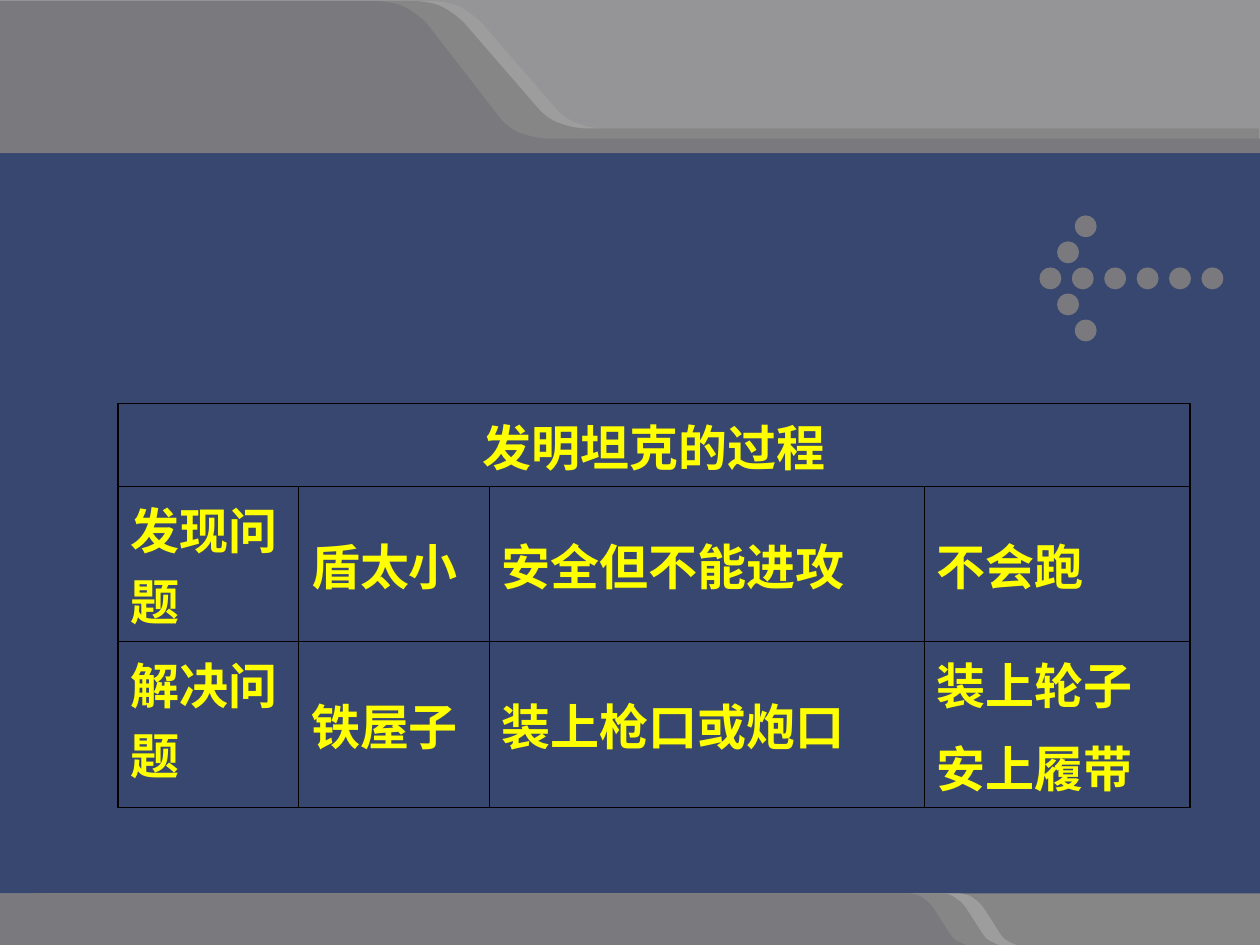
from lxml.etree import SubElement
from pptx import Presentation
from pptx.dml.color import RGBColor
from pptx.enum.shapes import MSO_SHAPE
from pptx.enum.text import MSO_ANCHOR, PP_ALIGN
from pptx.oxml.ns import qn
from pptx.util import Pt

WIDTH, HEIGHT = 720, 540
NAVY, DARK, MIDDLE, LIGHT, PALE = "38476F", "79797E", "868686", "9D9D9D", "959597"
YELLOW, BLACK = "FFFF00", "000000"
THICK, THIN = 1.08, 0.45

# Edge of a band: segments of one point (line) or three points (curve)
TOP_EDGE = [
    [(0, 0.7)],
    [(0, 0.7), (8.6, 0), (17.3, 3.6)],
    [(25.9, 7.9), (31, 13.7), (31, 13.7)],
    [(73.4, 62.6)],
    [(73.4, 62.6), (79.2, 69.1), (85.7, 70.6)],
    [(95, 74.2), (103.7, 73.4), (103.7, 73.4)],
]
BOTTOM_EDGE = [
    [(0, 0)],
    [(0, 0), (5.4, 0), (8.6, 2.9)],
    [(12.2, 5), (14.4, 8.6), (14.4, 8.6)],
    [(22.3, 20.9)],
    [(22.3, 20.9), (24.5, 24.5), (25.9, 25.9)],
    [(28.8, 28.1), (33.1, 29.5), (33.1, 29.5)],
]

ROWS = [
    ["发明坦克的过程"],
    ["发现问题", "盾太小", "安全但不能进攻", "不会跑"],
    ["解决问题", "铁屋子", "装上枪口或炮口", "装上轮子\n安上履带"],
]


def color(value):
    return RGBColor.from_string(value)


def paint(shape, fill):
    shape.fill.solid()
    shape.fill.fore_color.rgb = color(fill)
    shape.line.fill.background()
    shape.shadow.inherit = False


def add_block(shapes, left, top, width, height, fill):
    paint(shapes.add_shape(MSO_SHAPE.RECTANGLE, Pt(left), Pt(top),
                           Pt(width), Pt(height)), fill)


def add_outline(shapes, contours, fill):
    """Each contour is a list of segments, the first holding its start."""
    builder = None
    for contour in contours:
        points = [(Pt(x), Pt(y)) for segment in contour for x, y in segment]
        if builder is None:
            builder = shapes.build_freeform(*points[0])
        else:
            builder.move_to(*points[0])
        builder.add_line_segments(points[1:], close=True)
    shape = builder.convert_to_shape()
    paint(shape, fill)

    # Join the three points of each curve into one Bezier command
    lines = iter(list(shape._element.iter(qn("a:lnTo"))))
    for segment in (segment for contour in contours for segment in contour[1:]):
        line = next(lines)
        if len(segment) == 3:
            line.tag = qn("a:cubicBezTo")
            for _ in range(2):
                extra = next(lines)
                line.append(extra[0])
                extra.getparent().remove(extra)


def place_edge(edge, left, top, drop=0):
    """Move an edge; its second bend lies lower by drop."""
    return [[(left + x, top + y + (drop if index >= 3 else 0)) for x, y in segment]
            for index, segment in enumerate(edge)]


def add_top_band(shapes, left, right, bottom, bend, drop, fill):
    edge = place_edge(TOP_EDGE, bend, 0, drop)
    corners = [(right, edge[-1][-1][1]), (right, bottom), (left, bottom), (left, 0.7)]
    add_outline(shapes, [edge + [[corner] for corner in corners]], fill)


def add_bottom_band(shapes, left, top, bend, fill):
    edge = place_edge(BOTTOM_EDGE, bend, top)
    add_outline(shapes, [edge + [[(left, HEIGHT)], [(left, top)]]], fill)


def circle(x, y, radius):
    handle = 0.55 * radius
    segments = [[(x + radius, y)]]
    for a, b in ((1, 0), (0, 1), (-1, 0), (0, -1)):
        segments.append([
            (x + a * radius - b * handle, y + b * radius + a * handle),
            (x - b * radius + a * handle, y + a * radius + b * handle),
            (x - b * radius, y + a * radius)])
    return segments


def add_dotted_arrow(shapes, left, top, width, height, dot=12.5):
    radius = dot / 2
    first, middle = left + radius, top + height / 2
    pitch, rise = (width - dot) / 5, (height - dot) / 4
    centers = [(first + pitch * i, middle) for i in range(6)]
    centers += [(first + 10.1 * i, middle + side * rise * i)
                for side in (-1, 1) for i in (1, 2)]
    add_outline(shapes, [circle(x, y, radius) for x, y in centers], DARK)


def set_borders(cell, widths):
    """Widths are in the order left, right, top, bottom."""
    properties = cell._tc.get_or_add_tcPr()
    for index, (side, width) in enumerate(zip("LRTB", widths)):
        line = SubElement(properties, qn(f"a:ln{side}"), w=str(Pt(width)))
        fill = SubElement(line, qn("a:solidFill"))
        SubElement(fill, qn("a:srgbClr"), val=BLACK)
        properties.insert(index, line)


def fill_cell(cell, text, centered):
    frame = cell.text_frame
    for index, line in enumerate(text.split("\n")):
        paragraph = frame.add_paragraph() if index else frame.paragraphs[0]
        paragraph.alignment = PP_ALIGN.CENTER if centered else PP_ALIGN.LEFT
        if index:
            paragraph.space_before = Pt(7)
        run = paragraph.add_run()
        run.text = line
        run.font.size = Pt(28)
        run.font.name = "Arial"
        run.font.bold = True
        run.font.color.rgb = color(YELLOW)


def add_process_table(slide, left, top, column_widths, row_heights):
    table = slide.shapes.add_table(
        len(row_heights), len(column_widths), Pt(left), Pt(top),
        Pt(sum(column_widths)), Pt(sum(row_heights))).table
    table.first_row = table.horz_banding = False
    for column, width in zip(table.columns, column_widths):
        column.width = Pt(width)
    for row, height in zip(table.rows, row_heights):
        row.height = Pt(height)

    last_row, last_column = len(row_heights) - 1, len(column_widths) - 1
    table.cell(0, 0).merge(table.cell(0, last_column))
    for r in range(last_row + 1):
        for c in range(last_column + 1):
            cell = table.cell(r, c)
            cell.fill.background()
            is_label = r > 0 and c == 0
            cell.vertical_anchor = MSO_ANCHOR.TOP if is_label else MSO_ANCHOR.MIDDLE
            outer = (c == 0, c == last_column or r == 0, r == 0, r == last_row)
            set_borders(cell, [THICK if edge else THIN for edge in outer])
            if c < len(ROWS[r]):
                fill_cell(cell, ROWS[r][c], centered=r == 0)


def add_backdrop(slide):
    # Flat areas
    add_block(slide.shapes, 0, 0.7, WIDTH, HEIGHT - 0.7, NAVY)
    strips = slide.shapes.add_group_shape().shapes
    add_block(strips, 0, 510.5, WIDTH, 29.5, MIDDLE)
    add_block(strips, 0, 0, WIDTH, 80, PALE)
    # Layered bands, lightest at the back
    light = slide.shapes.add_group_shape().shapes
    add_bottom_band(light, 28.8, 510.5, 547.9, LIGHT)
    add_top_band(light, 32.4, 719.3, 80, 244.8, 0, LIGHT)
    add_dotted_arrow(slide.shapes, 594, 123.1, 105.1, 72)
    middle = slide.shapes.add_group_shape().shapes
    add_top_band(middle, 22.3, 719.3, 80, 234.7, 0, MIDDLE)
    add_bottom_band(middle, 19.4, 510.5, 537.8, MIDDLE)
    dark = slide.shapes.add_group_shape().shapes
    add_top_band(dark, 0, WIDTH, 87.5, 213.1, 5.8, DARK)
    add_bottom_band(dark, 0, 510.5, 519.1, DARK)


def main():
    presentation = Presentation()
    presentation.slide_width, presentation.slide_height = Pt(WIDTH), Pt(HEIGHT)
    slide = presentation.slides.add_slide(presentation.slide_layouts[6])
    add_backdrop(slide)
    add_process_table(slide, 67.6, 230.5, [103, 109, 248.6, 151.7], [41, 84.2, 81.4])
    presentation.save("out.pptx")


if __name__ == "__main__":
    main()
